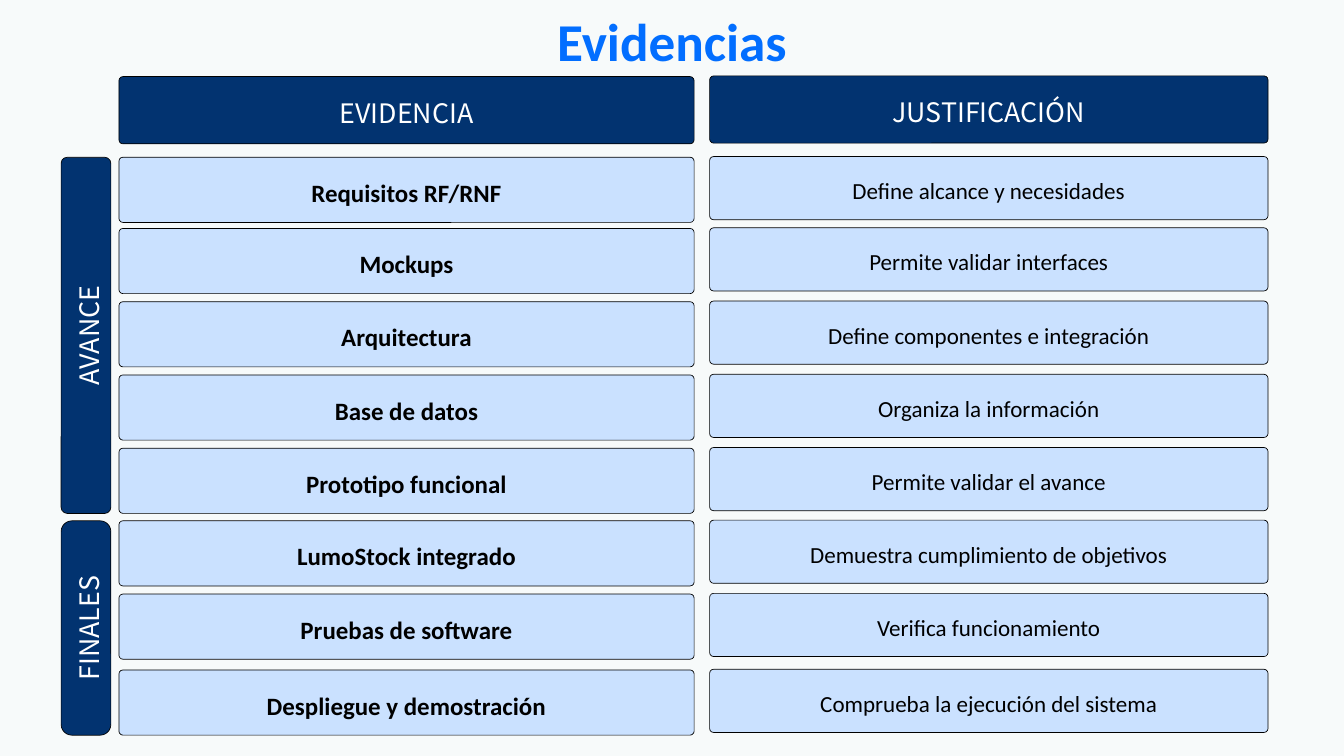
from pptx import Presentation
from pptx.dml.color import RGBColor
from pptx.enum.shapes import MSO_SHAPE
from pptx.enum.text import MSO_ANCHOR, PP_ALIGN
from pptx.util import Inches, Pt

NAVY, SKY, BLUE = "023370", "CAE1FF", "026EFF"
BLACK, WHITE, PAPER = "000000", "FFFFFF", "F7FAFA"

# Text formats: font attributes, colour and exact line spacing
TITLE = dict(font=dict(name="Calibri", size=Pt(57), bold=True), color=BLUE, spacing=53)
HEAD = dict(font=dict(name="Noto Sans CJK KR", size=Pt(28.7), bold=False), color=WHITE, spacing=40.2)
EVIDENCE = dict(font=dict(name="Calibri", size=Pt(26.7), bold=True), color=BLACK, spacing=37.4)
REASON = dict(font=dict(name="Calibri", size=Pt(24.7), bold=False), color=BLACK, spacing=34.6)

# Columns: left, width, top offset, row height, body format, heading
COLUMNS = [
    (1.77, 8.56, 0, 0.97, EVIDENCE, "EVIDENCIA"),
    (10.56, 8.31, -0.01, 0.94, REASON, "JUSTIFICACIÓN"),
]
HEAD_TOP, HEAD_HEIGHT = 1.14, 1
ROW_TOPS = [2.34, 3.4, 4.49, 5.58, 6.67, 7.75, 8.84, 9.97]
ROWS = [
    ("Requisitos RF/RNF", "Define alcance y necesidades"),
    ("Mockups", "Permite validar interfaces"),
    ("Arquitectura", "Define componentes e integración"),
    ("Base de datos", "Organiza la información"),
    ("Prototipo funcional", "Permite validar el avance"),
    ("LumoStock integrado", "Demuestra cumplimiento de objetivos"),
    ("Pruebas de software", "Verifica funcionamiento"),
    ("Despliegue y demostración", "Comprueba la ejecución del sistema"),
]
# Phases: label, first row, last row, corner radius
PHASES = [("AVANCE", 0, 4, 0.09), ("FINALES", 5, 7, 0.16)]
PHASE_LEFT, PHASE_WIDTH = 0.91, 0.74


def rgb(value):
    return RGBColor.from_string(value)


def write(sp, text, style, anchor=MSO_ANCHOR.MIDDLE):
    tf = sp.text_frame
    frame = dict(margin_left=0, margin_right=0, margin_top=0, margin_bottom=0,
                 word_wrap=True, vertical_anchor=anchor)
    for name, value in frame.items():
        setattr(tf, name, value)
    p = tf.paragraphs[0]
    p.alignment = PP_ALIGN.CENTER
    p.line_spacing = Pt(style["spacing"])
    r = p.add_run()
    r.text = text
    for name, value in style["font"].items():
        setattr(r.font, name, value)
    r.font.color.rgb = rgb(style["color"])


def add_title(s, width, text):
    sp = s.shapes.title
    sp.left, sp.top, sp.width, sp.height = 0, Inches(0.34), width, Inches(0.79)
    write(sp, text, TITLE, MSO_ANCHOR.TOP)


def add_box(s, left, top, width, height, text, fill, style, radius=0.06):
    sp = s.shapes.add_shape(MSO_SHAPE.ROUNDED_RECTANGLE, Inches(left), Inches(top),
                            Inches(width), Inches(height))
    sp.adjustments[0] = radius / min(width, height)
    sp.shadow.inherit = False
    sp.fill.solid()
    sp.fill.fore_color.rgb = rgb(fill)
    sp.line.color.rgb = rgb(BLACK)
    sp.line.width = Pt(0.75)
    write(sp, text, style)
    return sp


def add_phase(s, label, first, last, radius):
    top = ROW_TOPS[first]
    length = ROW_TOPS[last] + COLUMNS[0][3] - top
    # Laid out flat around its centre, then turned to read upwards
    shift = (length - PHASE_WIDTH) / 2
    sp = add_box(s, PHASE_LEFT - shift, top + shift, length, PHASE_WIDTH,
                 label, NAVY, HEAD, radius)
    sp.rotation = 270


def main():
    prs = Presentation()
    prs.slide_width, prs.slide_height = Inches(20), Inches(11.25)
    s = prs.slides.add_slide(prs.slide_layouts[5])
    s.background.fill.solid()
    s.background.fill.fore_color.rgb = rgb(PAPER)

    add_title(s, prs.slide_width, "Evidencias")

    # Headings
    for left, width, offset, _, _, heading in COLUMNS:
        add_box(s, left, HEAD_TOP + offset, width, HEAD_HEIGHT, heading, NAVY, HEAD)

    # Evidence and justification rows
    for top, texts in zip(ROW_TOPS, ROWS):
        for (left, width, offset, height, style, _), text in zip(COLUMNS, texts):
            add_box(s, left, top + offset, width, height, text, SKY, style)

    # Phase labels down the side
    for phase in PHASES:
        add_phase(s, *phase)

    prs.save("out.pptx")


if __name__ == "__main__":
    main()
